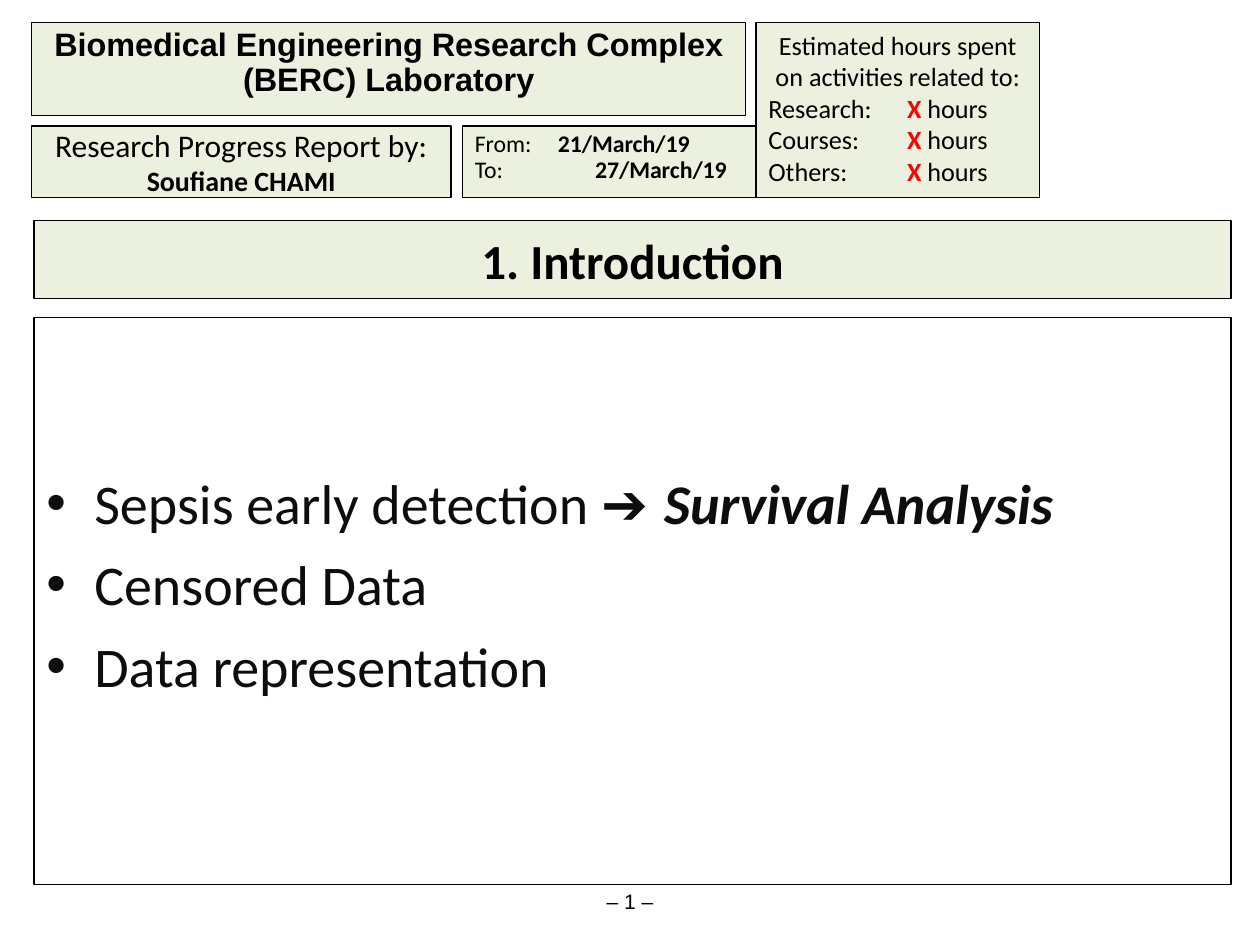
from pptx import Presentation
from pptx.dml.color import RGBColor
from pptx.enum.shapes import MSO_SHAPE as SHAPE
from pptx.enum.text import MSO_ANCHOR as ANCHOR, MSO_AUTO_SIZE as AUTO, PP_ALIGN as ALIGN
from pptx.oxml.ns import qn
from pptx.util import Inches, Pt
from lxml.etree import SubElement

# Content: a paragraph is a list of (text, style) runs
LAB = [[("Biomedical Engineering Research Complex (BERC) Laboratory", "bold")]]
AUTHOR = ("Research Progress Report by:", "Soufiane CHAMI")
PERIOD = [
    [("From:\t", ""), ("21/March/19", "bold")],
    [("To:\t", ""), ("27/March/19", "bold")],
]
HOURS_HEADING = [("Estimated hours spent on activities related to:", "")]
HOURS = [(name, "X") for name in ("Research", "Courses", "Others")]
SECTION = [[("1. Introduction", "bold")]]
TOPICS = [
    [("Sepsis early detection ", ""), ("➔ ", "symbol"), ("Survival Analysis", "bold italic")],
    [("Censored Data", "")],
    [("Data representation", "")],
]
PAGE = [[("– 1 –", "")]]

THEME = {
    "body": "Calibri", "head": "Arial",
    "text": RGBColor(0, 0, 0), "topic": RGBColor(0x0D, 0x0D, 0x0D),
    "accent": RGBColor(0xFF, 0, 0), "panel": RGBColor(0xEB, 0xF1, 0xDE),
    "lab": Pt(18.5), "report": Pt(18), "author": Pt(16), "period": Pt(13.6),
    "hours": Pt(15), "section": Pt(28), "topics": Pt(32), "page": Pt(12),
}

# Positions: left, top, width, height in inches
BOXES = {
    "lab": (0.25, 0.18, 5.67, 0.74),
    "author": (0.25, 1, 3.33, 0.57),
    "period": (3.67, 1, 2.34, 0.57),
    "hours": (6, 0.18, 2.25, 1.39),
    "section": (0.27, 1.75, 9.5, 0.62),
    "topics": (0.27, 2.52, 9.5, 4.5),
    "page": (0.5, 7, 9, 0.3),
}


def outline(sp, filled=True):
    if filled:
        sp.fill.solid()
        sp.fill.fore_color.rgb = THEME["panel"]
    else:
        sp.fill.background()
    sp.line.color.rgb = THEME["text"]
    sp.line.width = Pt(0.75)


def add_panel(slide, name, filled=True, anchor=ANCHOR.TOP):
    sp = slide.shapes.add_shape(SHAPE.RECTANGLE, *map(Inches, BOXES[name]))
    sp.shadow.inherit = False
    outline(sp, filled)
    sp.text_frame.vertical_anchor = anchor
    return sp.text_frame


def write(tf, paragraphs, size, align=ALIGN.LEFT, font="body", color="text", spacing=1.0):
    tf.word_wrap = True
    for i, runs in enumerate(paragraphs):
        p = tf.add_paragraph() if i else tf.paragraphs[0]
        p.alignment = align
        p.line_spacing = spacing
        for text, style in runs:
            r = p.add_run()
            r.text = text
            r.font.name = THEME["head" if style == "symbol" else font]
            r.font.size = THEME[size]
            r.font.color.rgb = THEME["accent" if "accent" in style else color]
            r.font.bold = "bold" in style
            r.font.italic = "italic" in style


def set_tab(p, inches, align):
    tabs = SubElement(p._p.get_or_add_pPr(), qn("a:tabLst"))
    SubElement(tabs, qn("a:tab"), pos=str(Inches(inches)), algn=align)


def set_bullet(p, indent):
    pPr = p._p.get_or_add_pPr()
    pPr.set("marL", str(Inches(indent)))
    pPr.set("indent", str(-Inches(indent)))
    SubElement(pPr, qn("a:buFont"), typeface=THEME["head"])
    SubElement(pPr, qn("a:buChar"), char="•")


def main():
    prs = Presentation()
    prs.slide_width, prs.slide_height = Inches(10), Inches(7.5)
    slide = prs.slides.add_slide(prs.slide_layouts[5])

    # Page number
    page = slide.shapes.add_textbox(*map(Inches, BOXES["page"]))
    write(page.text_frame, PAGE, "page", ALIGN.CENTER, font="head")

    # Topics
    tf = add_panel(slide, "topics", filled=False)
    tf.margin_top = Inches(1.2)
    write(tf, TOPICS, "topics", color="topic")
    for i, p in enumerate(tf.paragraphs):
        if i:
            p.space_before = Pt(8)
        set_bullet(p, 0.38)

    # Report title with its author
    title = slide.shapes.title
    title.left, title.top, title.width, title.height = map(Inches, BOXES["author"])
    outline(title)
    tf = title.text_frame
    tf.auto_size = AUTO.NONE
    tf.vertical_anchor = ANCHOR.MIDDLE
    tf.margin_top = tf.margin_bottom = 0
    heading, author = AUTHOR
    write(tf, [[(heading, "")]], "report", ALIGN.CENTER)
    p = tf.paragraphs[0]
    p.add_line_break()
    r = p.add_run()
    r.text = author
    r.font.name, r.font.size, r.font.bold = THEME["body"], THEME["author"], True
    r.font.color.rgb = THEME["text"]

    # Reporting period
    tf = add_panel(slide, "period")
    write(tf, PERIOD, "period", spacing=0.9)
    for p, tab in zip(tf.paragraphs, ((0.66, "l"), (2, "r"))):
        set_tab(p, *tab)

    # Hours spent
    tf = add_panel(slide, "hours")
    rows = [[(f"{name}:\t", ""), (hours, "bold accent"), (" hours", "")] for name, hours in HOURS]
    write(tf, [HOURS_HEADING] + rows, "hours")
    tf.paragraphs[0].alignment = ALIGN.CENTER
    for p in tf.paragraphs[1:]:
        set_tab(p, 1.1, "l")

    # Laboratory and section headings
    write(add_panel(slide, "lab"), LAB, "lab", ALIGN.CENTER, font="head", spacing=0.9)
    write(add_panel(slide, "section", anchor=ANCHOR.MIDDLE), SECTION, "section", ALIGN.CENTER)

    prs.save("out.pptx")


if __name__ == "__main__":
    main()
